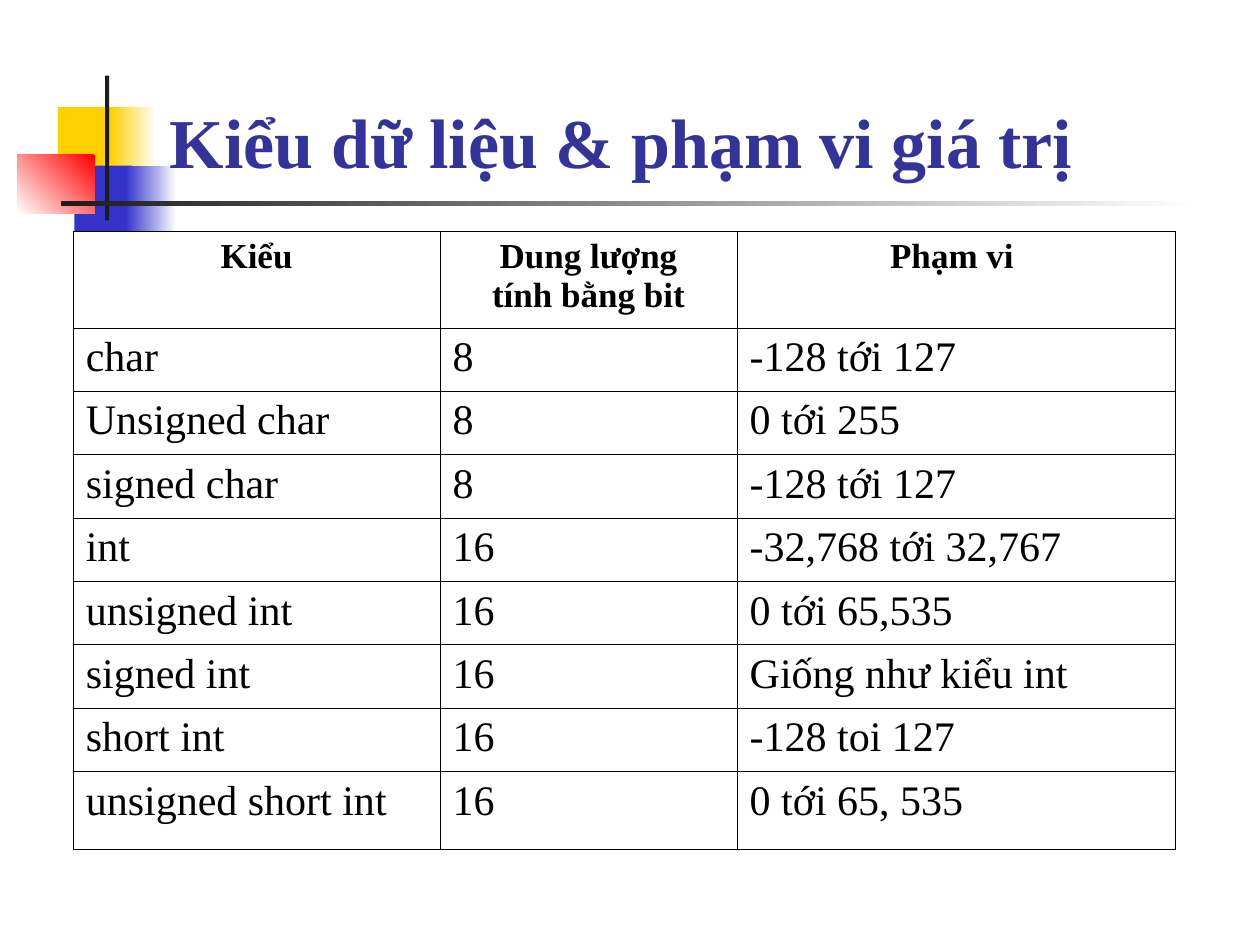
"""Build the slide on data types and their value ranges."""
from dataclasses import dataclass

from pptx import Presentation
from pptx.dml.color import RGBColor as RGB
from pptx.enum.shapes import MSO_SHAPE as SHAPE
from pptx.enum.text import MSO_ANCHOR as ANCHOR, PP_ALIGN as ALIGN
from pptx.oxml import parse_xml
from pptx.oxml.ns import nsdecls
from pptx.util import Pt


@dataclass(frozen=True)
class Theme:
    font: str = "Times New Roman"
    title: str = "333399"
    black: str = "000000"
    white: str = "FFFFFF"
    yellow: str = "FFCF01"
    blue: str = "3333CC"
    red: str = "FF0000"
    dark: str = "1C1C1C"
    title_size: int = 40
    head_size: int = 20
    body_size: int = 24


T = Theme()


def write(tf, text, size, color=T.black, bold=False, align=ALIGN.LEFT):
    for i, line in enumerate(text.split("\n")):
        p = tf.add_paragraph() if i else tf.paragraphs[0]
        p.alignment = align
        r = p.add_run()
        r.text = line
        r.font.name, r.font.size, r.font.bold = T.font, Pt(size), bold
        r.font.color.rgb = RGB.from_string(color)


prs = Presentation()
prs.slide_width, prs.slide_height = Pt(720), Pt(540)
s = prs.slides.add_slide(prs.slide_layouts[6])

ornaments = [
    ((33.12, 61.2, 34.56, 37.44), [T.yellow], 0),
    ((63.36, 61.2, 25.92, 37.44), [T.white, T.yellow], 180),
    ((42.48, 94.6, 33.12, 37.44), [T.blue], 0),
    ((72, 94.6, 28.8, 37.44), [T.white, T.blue], 180),
    ((10, 88.56, 44.2, 33.4), [T.red, T.white], 225),
    ((60, 43.2, 2.4, 82.8), [T.dark], 0),
    ((34.8, 115, 648, 2.9), [T.white, T.dark], 180),
]
for box, colors, angle in ornaments:
    sp = s.shapes.add_shape(SHAPE.RECTANGLE, *map(Pt, box))
    sp.shadow.inherit = False
    sp.line.fill.background()
    if len(colors) == 1:
        sp.fill.solid()
        sp.fill.fore_color.rgb = RGB.from_string(colors[0])
    else:
        sp.fill.gradient()
        sp.fill.gradient_angle = angle
        for stop, color in zip(sp.fill.gradient_stops, colors):
            stop.color.rgb = RGB.from_string(color)

title = s.shapes.add_textbox(Pt(90), Pt(41.76), Pt(594), Pt(66.24))
tf = title.text_frame
tf.word_wrap = True
tf.vertical_anchor = ANCHOR.BOTTOM
write(tf, "Kiểu dữ liệu & phạm vi giá trị", T.title_size, color=T.title, bold=True)

rows = [
    ("Kiểu", "Dung lượng\ntính bằng bit", "Phạm vi "),
    ("char", "8", "-128 tới 127"),
    ("Unsigned char", "8", "0 tới 255"),
    ("signed char", "8", "-128 tới 127"),
    ("int", "16", "-32,768 tới 32,767"),
    ("unsigned int", "16", "0 tới 65,535"),
    ("signed int", "16", "Giống như kiểu int"),
    ("short int", "16", "-128 toi 127"),
    ("unsigned short int", "16", "0 tới 65, 535"),
]
widths = [209.6, 169.8, 250.6]
heights = [55.4] + [36.2] * 7 + [44.7]
table = s.shapes.add_table(len(rows), len(widths), Pt(41.8), Pt(132),
                           Pt(sum(widths)), Pt(sum(heights))).table
table.first_row = table.horz_banding = False
for column, width in zip(table.columns, widths):
    column.width = Pt(width)
for row, height in zip(table.rows, heights):
    row.height = Pt(height)

for i, values in enumerate(rows):
    for j, value in enumerate(values):
        cell = table.cell(i, j)
        tc_pr = cell._tc.get_or_add_tcPr()
        for side in ("lnL", "lnR", "lnT", "lnB"):
            tc_pr.append(parse_xml(
                f'<a:{side} {nsdecls("a")} w="{Pt(0.45)}"><a:solidFill>'
                f'<a:srgbClr val="{T.black}"/></a:solidFill></a:{side}>'))
        cell.fill.background()
        if i == 0:
            write(cell.text_frame, value, T.head_size, bold=True, align=ALIGN.CENTER)
        else:
            write(cell.text_frame, value, T.body_size, align=ALIGN.JUSTIFY)

prs.save("out.pptx")
